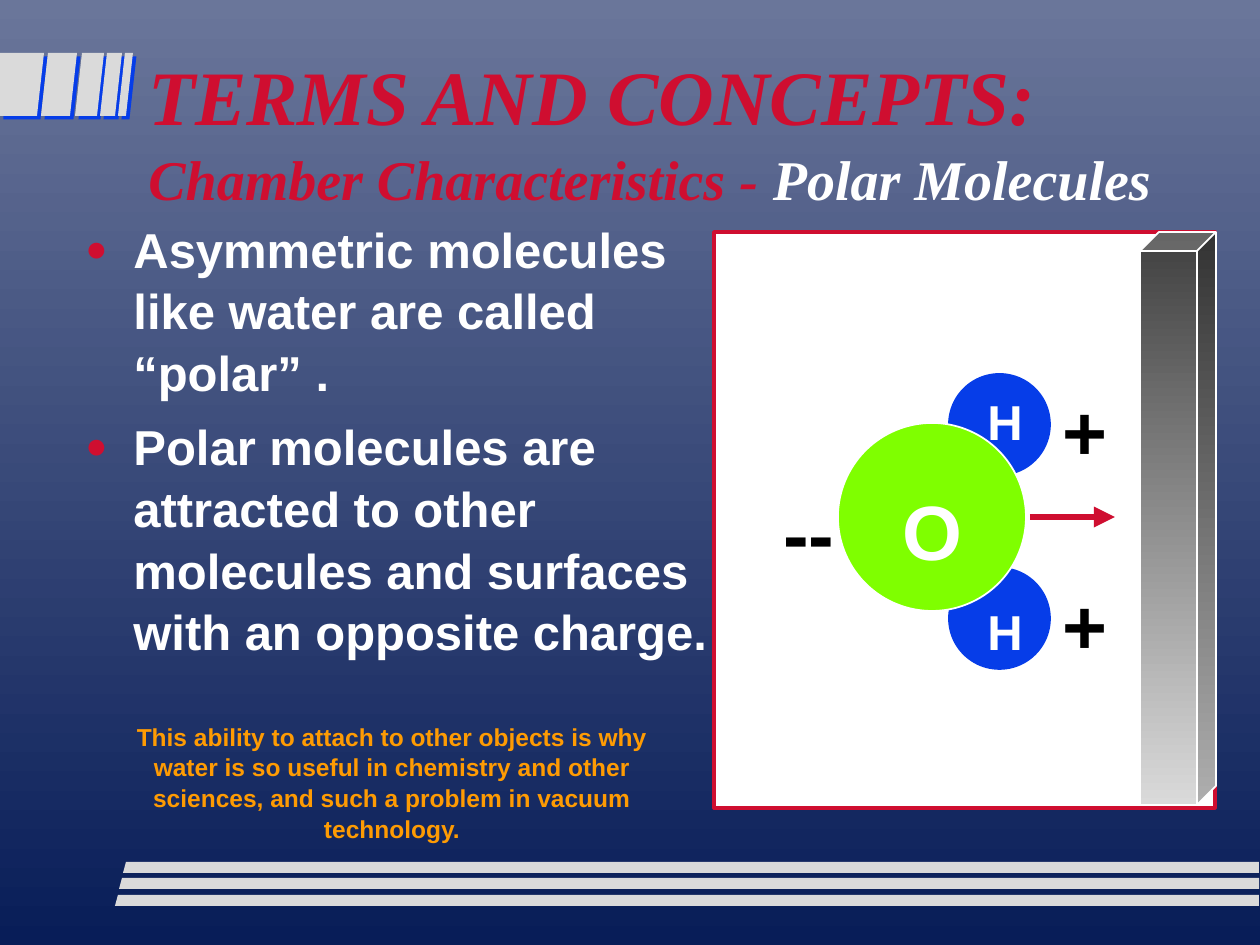
from dataclasses import dataclass

from lxml import etree
from pptx import Presentation
from pptx.dml.color import RGBColor
from pptx.enum.shapes import MSO_CONNECTOR, MSO_SHAPE
from pptx.enum.text import MSO_AUTO_SIZE, PP_ALIGN
from pptx.oxml.ns import qn
from pptx.util import Pt

PX = 914400 / 126  # EMU in one px
STRAIGHT = MSO_CONNECTOR.STRAIGHT
RECTANGLE, OVAL, CUBE = MSO_SHAPE.RECTANGLE, MSO_SHAPE.OVAL, MSO_SHAPE.CUBE
GROW = MSO_AUTO_SIZE.SHAPE_TO_FIT_TEXT
CENTER, LEFT = PP_ALIGN.CENTER, PP_ALIGN.LEFT
LINE_SPACING = 1.05

COLORS = {
    "sky": "6A769A", "navy": "081D58", "silver": "DADADA", "blue": "063DE8",
    "red": "CF0E30", "white": "FFFFFF", "black": "000000", "green": "7FFF00",
    "orange": "FE9B03", "charcoal": "404040",
}


@dataclass(frozen=True)
class Box:
    left: int
    top: int
    width: int
    height: int


@dataclass(frozen=True)
class Atom:
    box: Box
    fill: str
    line: str


@dataclass(frozen=True)
class Label:
    text: str
    box: Box
    size: int
    color: str


ATOMS = [
    Atom(Box(949, 374, 101, 101), "blue", "blue"),
    Atom(Box(949, 568, 101, 101), "blue", "blue"),
    Atom(Box(838, 423, 188, 188), "green", "white"),
]
LABELS = [
    Label("O", Box(890, 473, 84, 105), 44, "white"),
    Label("H", Box(975, 592, 60, 71), 28, "white"),
    Label("H", Box(975, 382, 60, 71), 28, "white"),
    Label("--", Box(771, 475, 77, 105), 44, "black"),
    Label("+", Box(1050, 373, 71, 105), 44, "black"),
    Label("+", Box(1050, 567, 71, 105), 44, "black"),
]
FLAG_TOPS = [(48, 77), (82, 104), (107, 122), (125, 133)]
BAR_TOPS = [862, 878, 895]
BULLETS = [
    "Asymmetric molecules like water are called “polar” .",
    "Polar molecules are attracted to other molecules and surfaces with an opposite charge.",
]
NOTE = ("This ability to attach to other objects is why water is so useful in chemistry "
        "and other sciences, and such a problem in vacuum technology.")


def emu(px: float) -> int:
    return round(px * PX)


def rgb(name: str) -> RGBColor:
    return RGBColor.from_string(COLORS[name])


def place(box: Box) -> list[int]:
    return [emu(value) for value in (box.left, box.top, box.width, box.height)]


def fill_gradient(fill, start: str, end: str) -> None:
    fill.gradient()
    fill.gradient_angle = 270
    for stop, position, name in zip(fill.gradient_stops, (0, 1), (start, end)):
        stop.position = position
        stop.color.rgb = rgb(name)


def add_outlined(shapes, kind, box: Box, line: str, weight: int, fill: str | None = None):
    shape = shapes.add_shape(kind, *place(box))
    shape.shadow.inherit = False
    if fill:
        shape.fill.solid()
        shape.fill.fore_color.rgb = rgb(fill)
    shape.line.color.rgb = rgb(line)
    shape.line.width = Pt(weight)
    return shape


def add_polygon(shapes, points: list[tuple[int, int]]):
    builder = shapes.build_freeform(*points[0], scale=PX)
    builder.add_line_segments(points[1:], close=True)
    shape = builder.convert_to_shape()
    shape.shadow.inherit = False
    shape.fill.solid()
    shape.fill.fore_color.rgb = rgb("silver")
    shape.line.fill.background()
    return shape


def add_flag(shapes, points: list[tuple[int, int]]) -> None:
    shape = add_polygon(shapes, points)
    effects = shape._element.spPr.find(qn("a:effectLst"))
    shadow = etree.SubElement(effects, qn("a:outerShdw"), blurRad="0", dist=str(Pt(2.8)),
                              dir="2700000", algn="ctr", rotWithShape="0")
    etree.SubElement(shadow, qn("a:srgbClr"), val=COLORS["blue"])


def add_bullet(paragraph) -> None:
    properties = paragraph._p.get_or_add_pPr()
    properties.set("marL", str(emu(48)))
    properties.set("indent", str(-emu(48)))
    color = etree.SubElement(properties, qn("a:buClr"))
    etree.SubElement(color, qn("a:srgbClr"), val=COLORS["red"])
    etree.SubElement(properties, qn("a:buSzPct"), val="75000")
    etree.SubElement(properties, qn("a:buFont"), typeface="Arial")
    etree.SubElement(properties, qn("a:buChar"), char="●")


def add_text(shapes, text: str, box: Box, size: int, color: str, font: str = "Arial",
             wrap: bool = True, align=LEFT):
    text_frame = shapes.add_textbox(*place(box)).text_frame
    text_frame.word_wrap = wrap
    text_frame.text = text
    for paragraph in text_frame.paragraphs:
        paragraph.alignment = align
        paragraph.line_spacing = LINE_SPACING
        for run in paragraph.runs:
            run.font.name = font
            run.font.size = Pt(size)
            run.font.bold = True
            run.font.color.rgb = rgb(color)
    return text_frame


def add_decoration(shapes) -> None:
    # Slanted flags at the top left
    add_flag(shapes, [(0, 53), (44, 53), (37, 116), (0, 116)])
    for left, right in FLAG_TOPS:
        add_flag(shapes, [(left, 53), (right, 53), (right - 7, 116), (left - 7, 116)])
    # Stripes along the bottom
    for index, top in enumerate(BAR_TOPS):
        left = 126 - 4 * index
        add_polygon(shapes, [(left, top), (1259, top), (1259, top + 11), (left - 3, top + 11)])


def add_title(shapes) -> None:
    text_frame = add_text(shapes, "TERMS AND CONCEPTS:\vChamber Characteristics - ",
                          Box(136, 38, 1071, 163), 44, "red", "Times New Roman")
    paragraph = text_frame.paragraphs[0]
    topic = paragraph.add_run()
    topic.text = "Polar Molecules"
    topic.font.name = "Times New Roman"
    topic.font.bold = True
    topic.font.color.rgb = rgb("white")
    for run in paragraph.runs:
        run.font.italic = True
    for run in paragraph.runs[1:]:
        run.font.size = Pt(32)


def add_diagram(shapes) -> None:
    # Water molecule
    for atom in ATOMS:
        add_outlined(shapes, OVAL, atom.box, atom.line, 1, atom.fill)
    for label in LABELS:
        text_frame = add_text(shapes, label.text, label.box, label.size, label.color, wrap=False)
        text_frame.auto_size = GROW
    # Wall and the pull towards it
    wall = add_outlined(shapes, CUBE, Box(1140, 232, 76, 573), "white", 1)
    fill_gradient(wall.fill, "charcoal", "silver")
    arrow = shapes.add_connector(STRAIGHT, emu(1030), emu(517), emu(1115), emu(517))
    arrow.line.color.rgb = rgb("red")
    arrow.line.width = Pt(4)
    etree.SubElement(arrow.line._get_or_add_ln(), qn("a:tailEnd"), type="triangle")
    etree.SubElement(arrow._element.spPr, qn("a:effectLst"))


def main() -> None:
    presentation = Presentation()
    presentation.slide_width, presentation.slide_height = emu(1260), emu(945)
    slide = presentation.slides.add_slide(presentation.slide_layouts[6])
    fill_gradient(slide.background.fill, "sky", "navy")
    shapes = slide.shapes

    add_decoration(shapes)
    add_title(shapes)
    add_outlined(shapes, RECTANGLE, Box(714, 232, 501, 576), "red", 2, "white")

    # Bulleted text
    body = add_text(shapes, "\n".join(BULLETS), Box(73, 210, 648, 576), 28, "white")
    for paragraph in body.paragraphs:
        add_bullet(paragraph)
    body.paragraphs[1].space_before = Pt(7)

    add_diagram(shapes)

    # Closing note
    note = add_text(shapes, NOTE, Box(94, 714, 596, 130), 14, "orange", align=CENTER)
    note.auto_size = GROW
    presentation.save("out.pptx")


if __name__ == "__main__":
    main()
